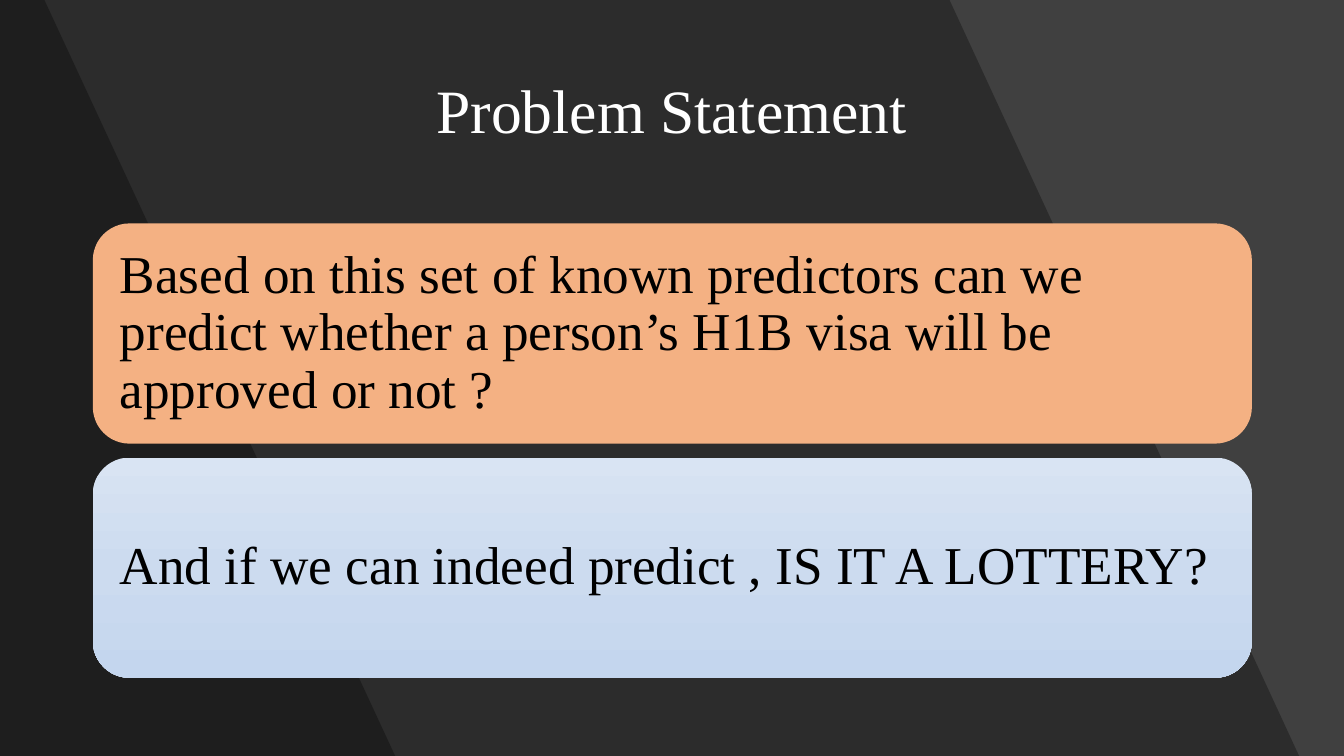
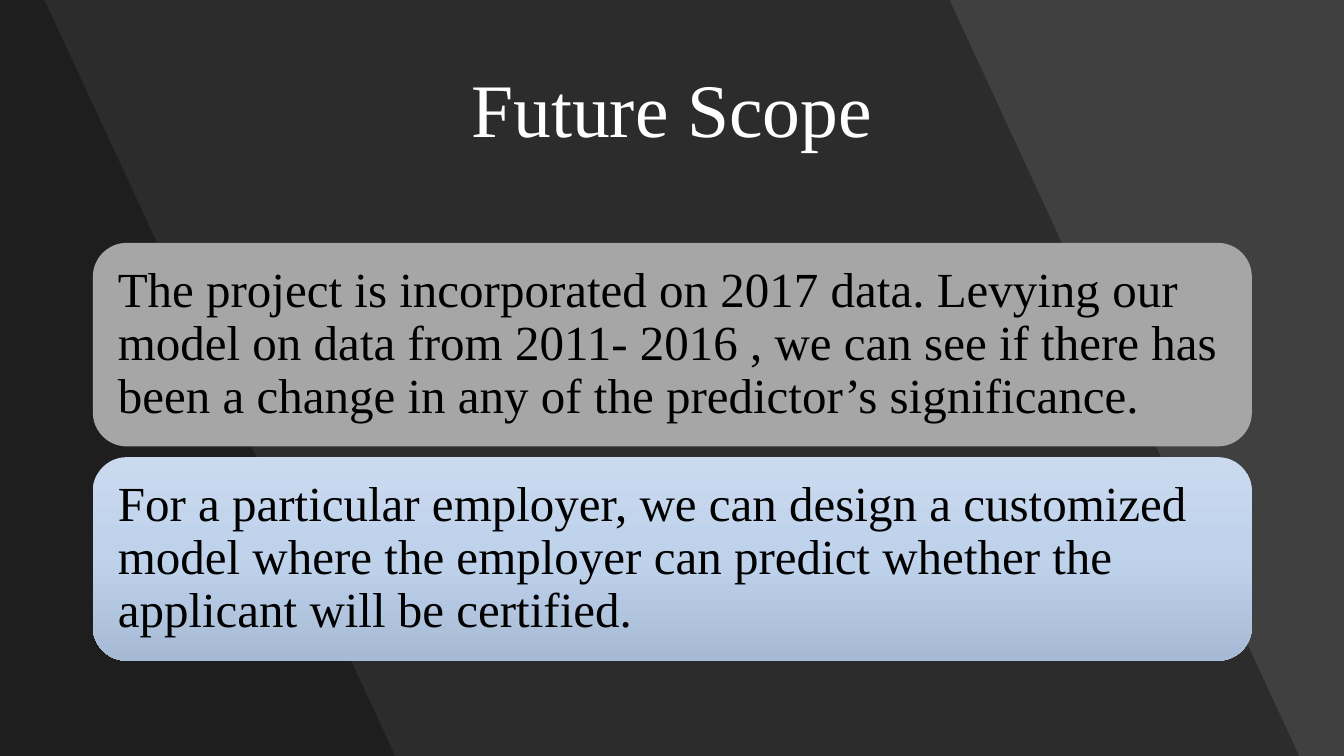
import copy

import pptx
import pptx.dml.color
import pptx.enum.shapes
import pptx.enum.text
import pptx.oxml
import pptx.oxml.ns
import pptx.util
from pptx.dml.color import RGBColor
from pptx.util import Cm

FONT = "Times New Roman"
SLIDE_W, SLIDE_H = Cm(33.87), Cm(19.05)

BACKGROUND = RGBColor(0x40, 0x40, 0x40)
WHITE = RGBColor(0xFF, 0xFF, 0xFF)
BLACK = RGBColor(0x00, 0x00, 0x00)
ORANGE = RGBColor(0xF4, 0xB1, 0x83)
GREY = RGBColor(0xA6, 0xA6, 0xA6)
PALE_BLUES = (RGBColor(0xD9, 0xE4, 0xF3), RGBColor(0xCC, 0xDB, 0xEF),
              RGBColor(0xC4, 0xD6, 0xEE))
STEEL_BLUES = (RGBColor(0xCA, 0xD9, 0xEE), RGBColor(0xBE, 0xD2, 0xEC),
               RGBColor(0xA6, 0xBA, 0xD5))

# Top and bottom x of each band's slanted right edge, in cm
BANDS = ((23.93, 32.74), (1.12, 9.96))
BAND_OPACITY = 30
TITLE_BOX = (Cm(2.31), Cm(1.02), Cm(29.24), Cm(3.68))
CARD_LEFT, CARD_WIDTH = Cm(2.34), Cm(29.21)


def add_band(s, top_x, bottom_x):
    """Translucent black band from the left edge to a slanted edge."""
    builder = s.shapes.build_freeform(0, 0)
    builder.add_line_segments(
        [(Cm(top_x), 0), (Cm(bottom_x), SLIDE_H), (0, SLIDE_H)], close=True)
    sp = builder.convert_to_shape()
    sp.shadow.inherit = False
    sp.line.fill.background()
    sp.fill.solid()
    sp.fill.fore_color.rgb = BLACK
    color = sp.fill._xPr.find(".//" + pptx.oxml.ns.qn("a:srgbClr"))
    alpha = pptx.oxml.parse_xml(
        f'<a:alpha {pptx.oxml.ns.nsdecls("a")} val="{BAND_OPACITY * 1000}"/>')
    color.append(alpha)


def write_text(sp, text, size, color, align):
    """One vertically centred paragraph in a shape."""
    tf = sp.text_frame
    tf.word_wrap = True
    tf.vertical_anchor = pptx.enum.text.MSO_ANCHOR.MIDDLE
    p = tf.paragraphs[0]
    p.text = text
    p.alignment = align
    p.line_spacing = 0.9
    p.font.name = FONT
    p.font.size = pptx.util.Pt(size)
    p.font.color.rgb = color
    return tf


def add_base_slide(prs, title, title_size):
    """Dark slide with slanted bands and a centred title."""
    s = prs.slides.add_slide(prs.slide_layouts[6])
    s.background.fill.solid()
    s.background.fill.fore_color.rgb = BACKGROUND
    for top_x, bottom_x in BANDS:
        add_band(s, top_x, bottom_x)
    write_text(s.shapes.add_textbox(*TITLE_BOX), title, title_size, WHITE,
               pptx.enum.text.PP_ALIGN.CENTER)
    return s


def fill_card(sp, fill):
    """Solid colour, or three colours running from top to bottom."""
    if isinstance(fill, RGBColor):
        sp.fill.solid()
        sp.fill.fore_color.rgb = fill
        return
    sp.fill.gradient()
    sp.fill.gradient_angle = 270
    stops = sp.fill._xPr.find(".//" + pptx.oxml.ns.qn("a:gsLst"))
    stops.insert(1, copy.deepcopy(stops[0]))
    for i, (stop, color) in enumerate(zip(sp.fill.gradient_stops, fill)):
        stop.position = i / 2
        stop.color.rgb = color


def add_card_stack(s, top, height, gap, inset, size, cards):
    """Equal rounded cards stacked in the box from top, height tall."""
    card_h = (height - gap * (len(cards) - 1)) // len(cards)
    for i, (text, fill) in enumerate(cards):
        sp = s.shapes.add_shape(
            pptx.enum.shapes.MSO_SHAPE.ROUNDED_RECTANGLE,
            CARD_LEFT, top + i * (card_h + gap), CARD_WIDTH, card_h)
        sp.shadow.inherit = False
        sp.line.fill.background()
        fill_card(sp, fill)
        tf = write_text(sp, text, size, BLACK, pptx.enum.text.PP_ALIGN.LEFT)
        tf.margin_left = tf.margin_right = inset
        tf.margin_top = tf.margin_bottom = inset


def add_problem_slide(prs):
    s = add_base_slide(prs, "Problem Statement", 44)
    add_card_stack(s, Cm(5.63), Cm(11.45), Cm(0.35), Cm(0.41), 38, [
        ("Based on this set of known predictors can we predict whether "
         "a person’s H1B visa will be approved or not ?", ORANGE),
        ("And if we can indeed predict , IS IT A LOTTERY?", PALE_BLUES),
    ])


def add_future_slide(prs):
    s = add_base_slide(prs, "Future Scope", 54)
    add_card_stack(s, Cm(6.12), Cm(10.53), Cm(0.27), Cm(0.38), 35, [
        ("The project is incorporated on 2017 data. Levying our model on "
         "data from 2011- 2016 , we can see if there has been a change in "
         "any of the predictor’s significance.", GREY),
        ("For a particular employer, we can design a customized model where "
         "the employer can predict whether the applicant will be certified.",
         STEEL_BLUES),
    ])


def main():
    prs = pptx.Presentation()
    prs.slide_width, prs.slide_height = SLIDE_W, SLIDE_H
    add_problem_slide(prs)
    add_future_slide(prs)
    prs.save("out.pptx")


if __name__ == "__main__":
    main()
